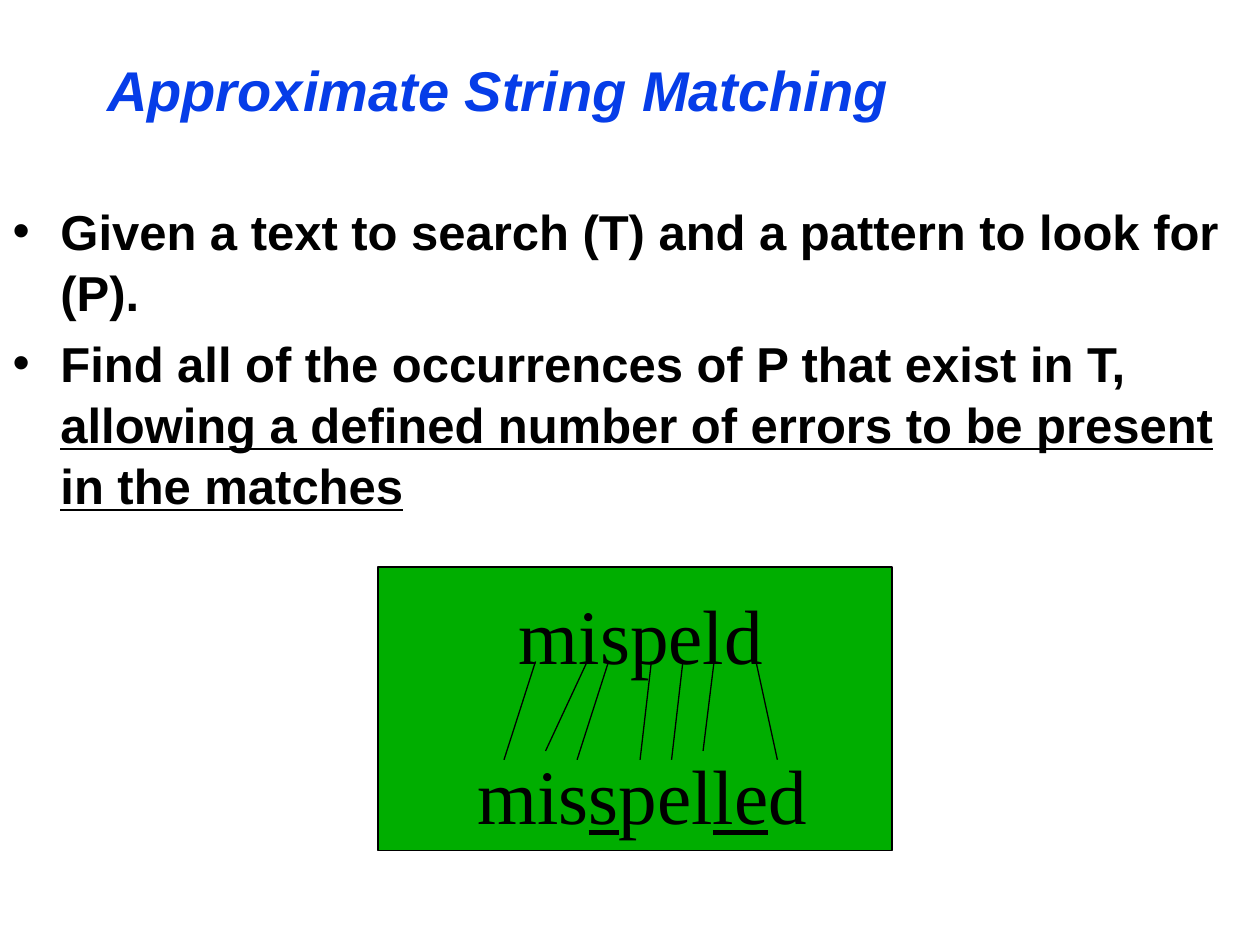
from lxml import etree
from pptx import Presentation
from pptx import util as u
from pptx.dml.color import RGBColor
from pptx.enum import shapes, text
from pptx.oxml.ns import qn

BLUE, BLACK, GREEN = "063DE8", "000000", "00AE00"

POINTS = [
    [("Given a text to search (T) and a pattern to look for (P).", False)],
    [("Find all of the occurrences of P that exist in T, ", False),
     ("allowing a defined number of errors to be present in the matches", True)],
]
PATTERN = [("mispeld", False)]
MATCH = [("mis", False), ("s", True), ("pel", False), ("le", True), ("d", False)]

# Ends of each letter link: x under the pattern, x over the match
LONG_LINKS = [(4.25, 4), (4.83, 4.58), (5.17, 5.08), (5.42, 5.33), (6, 6.17)]
SHORT_LINKS = [(4.67, 4.33), (5.67, 5.58)]


def color(hex_value):
    return RGBColor.from_string(hex_value)


def style(paragraph, name, size, hex_value, bold=None, italic=None):
    font = paragraph.font
    font.name, font.size = name, u.Pt(size)
    font.bold, font.italic = bold, italic
    font.color.rgb = color(hex_value)


def place(shape, left, top, width, height):
    shape.left, shape.top = u.Inches(left), u.Inches(top)
    shape.width, shape.height = u.Inches(width), u.Inches(height)


def add_runs(paragraph, runs):
    for wording, underlined in runs:
        run = paragraph.add_run()
        run.text = wording
        if underlined:
            run.font.underline = True


def add_bullet(paragraph):
    props = paragraph._p.get_or_add_pPr()
    props.set("marL", str(u.Inches(0.38)))
    props.set("indent", str(u.Inches(-0.38)))
    etree.SubElement(props, qn("a:buChar")).set("char", "•")


def fill_title(title):
    place(title, 0.75, 0.33, 8.5, 0.75)
    title.text_frame.text = "Approximate String Matching"
    title.text_frame.auto_size = text.MSO_AUTO_SIZE.NONE
    title.text_frame.vertical_anchor = text.MSO_ANCHOR.MIDDLE
    heading = title.text_frame.paragraphs[0]
    heading.alignment = text.PP_ALIGN.LEFT
    style(heading, "Arial", 32, BLUE, bold=True, italic=True)


def fill_body(body):
    place(body, 0, 1.53, 10, 3.05)
    frame = body.text_frame
    frame.auto_size = text.MSO_AUTO_SIZE.NONE
    for index, runs in enumerate(POINTS):
        point = frame.add_paragraph() if index else frame.paragraphs[0]
        add_bullet(point)
        point.line_spacing = 1.04
        point.space_before = u.Pt(5.6 if index else 0)
        style(point, "Arial", 28, BLACK, bold=True)
        add_runs(point, runs)


def add_panel(group):
    panel = group.shapes.add_shape(
        shapes.MSO_SHAPE.RECTANGLE,
        u.Inches(3), u.Inches(4.5), u.Inches(4.08), u.Inches(2.25))
    panel.shadow.inherit = False
    panel.fill.solid()
    panel.fill.fore_color.rgb = color(GREEN)
    panel.line.color.rgb = color(BLACK)
    panel.line.width = u.Pt(0.75)


def add_word(group, runs, left, top, width):
    word = group.shapes.add_textbox(
        u.Inches(left), u.Inches(top), u.Inches(width), u.Inches(0.78))
    word.text_frame.word_wrap = True
    letters = word.text_frame.paragraphs[0]
    style(letters, "Times New Roman", 44, BLACK)
    add_runs(letters, runs)


def add_links(group, links, top, bottom):
    for upper, lower in links:
        link = group.shapes.add_connector(
            shapes.MSO_CONNECTOR.STRAIGHT,
            u.Inches(upper), u.Inches(top), u.Inches(lower), u.Inches(bottom))
        link.line.color.rgb = color(BLACK)
        link.line.width = u.Pt(0.75)
        etree.SubElement(link._element.spPr, qn("a:effectLst"))


def main():
    deck = Presentation()
    deck.slide_width, deck.slide_height = u.Inches(10), u.Inches(7.5)
    slide = deck.slides.add_slide(deck.slide_layouts[1])

    # Title and definition
    fill_title(slide.shapes.title)
    fill_body(slide.placeholders[1])

    # Example: letters of the pattern linked to those of the match
    example = slide.shapes.add_group_shape()
    add_panel(example)
    add_word(example, PATTERN, 4.02, 4.61, 2.25)
    add_word(example, MATCH, 3.69, 5.88, 2.83)
    add_links(example, LONG_LINKS, 5.25, 6.03)
    add_links(example, SHORT_LINKS, 5.23, 5.96)

    deck.save("out.pptx")


if __name__ == "__main__":
    main()
